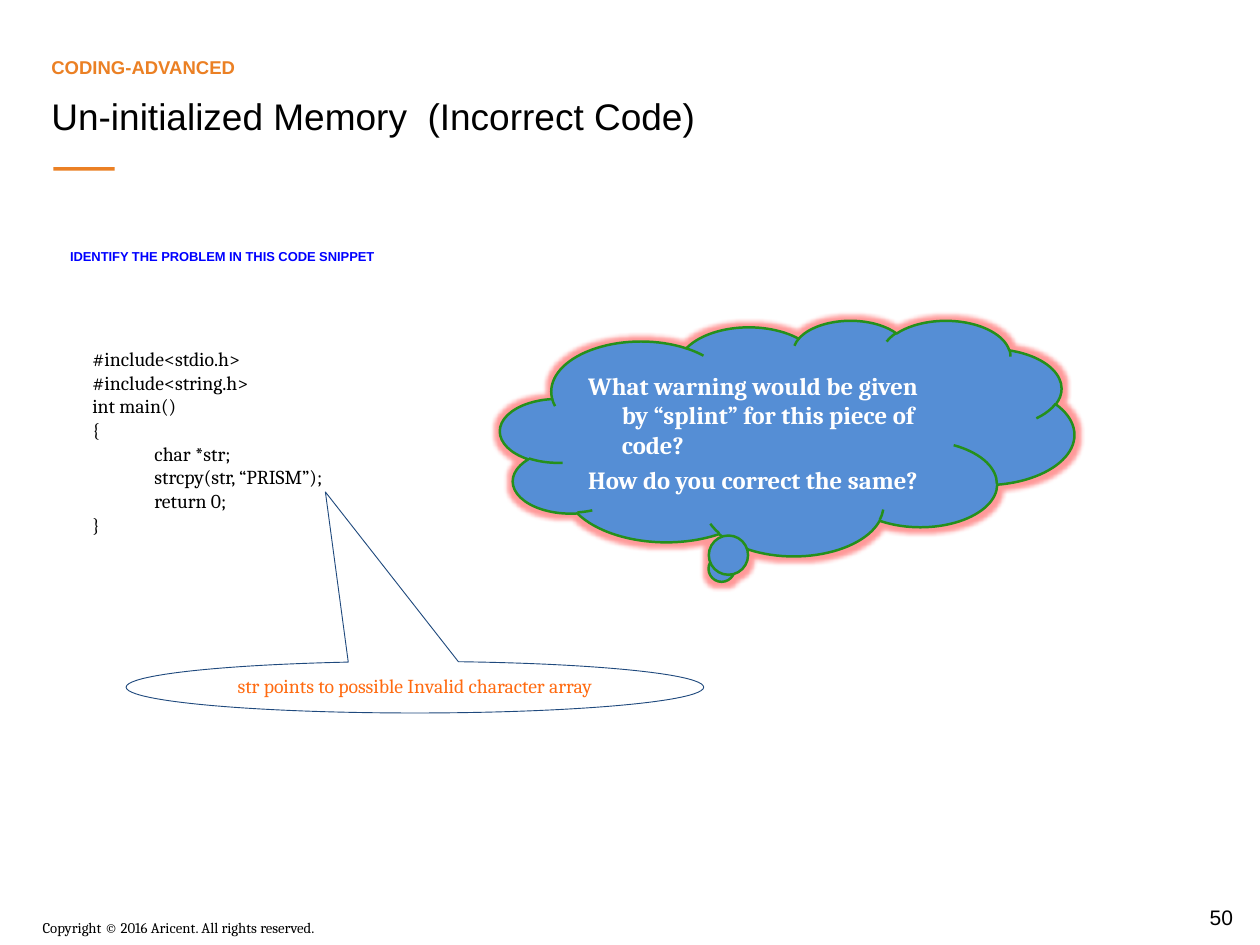
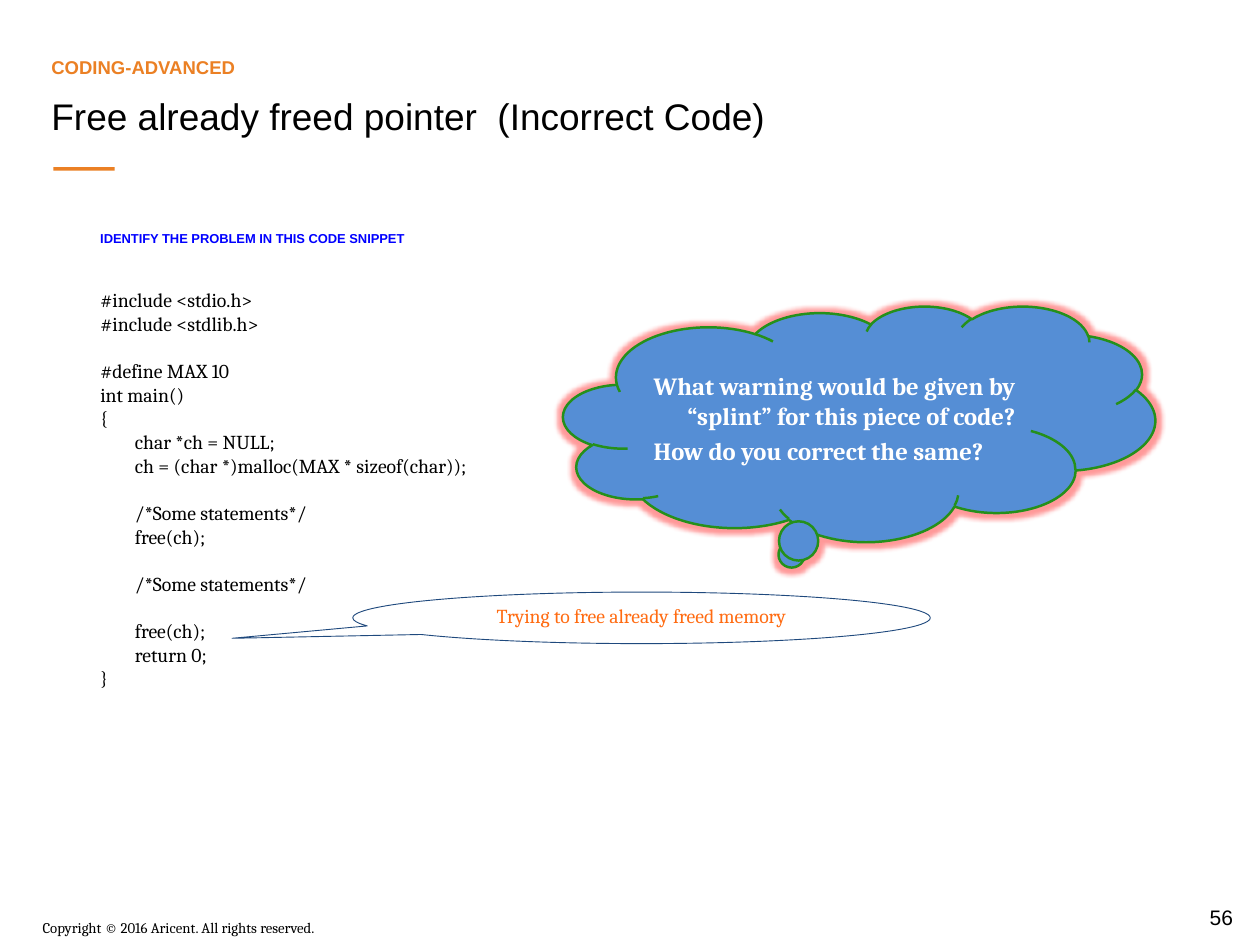
from dataclasses import dataclass

from lxml.etree import SubElement
from pptx import Presentation
from pptx.dml.color import RGBColor
from pptx.enum.shapes import MSO_SHAPE as Preset
from pptx.enum.text import MSO_ANCHOR as Anchor, PP_ALIGN as Align
from pptx.oxml.ns import qn
from pptx.util import Inches, Pt

# Shared colours and text styles
ORANGE, BLACK, WHITE = "EB8024", "000000", "FFFFFF"
BLUE, NAVY, AMBER = "0000FF", "1F497D", "FF6B11"
CLOUD_FILL, CLOUD_LINE, GLOW = "558ED5", "25901B", "FF0000"
STYLES = {
    "section": {"name": "Arial", "size": Pt(15), "bold": True, "color": ORANGE},
    "title": {"name": "Arial", "size": Pt(30), "color": BLACK},
    "task": {"name": "Arial", "size": Pt(10.5), "bold": True, "color": BLUE},
    "code": {"name": "Cambria", "size": Pt(16), "color": BLACK},
    "remark": {"name": "Cambria", "size": Pt(16), "color": AMBER},
    "question": {"name": "Cambria", "size": Pt(20), "bold": True, "color": WHITE},
    "copyright": {"name": "Cambria", "size": Pt(12), "color": BLACK},
    "number": {"name": "Arial", "size": Pt(17), "color": BLACK},
}
CODE_LINE = Pt(19)
CODE_TAB = Inches(0.7)
HANGING = Inches(0.38)
QUESTIONS = [
    "What warning would be given by “splint” for this piece of code?",
    "How do you correct the same?",
]


@dataclass
class Area:
    left: float
    top: float
    width: float
    height: float

    def lengths(self) -> list:
        return [Inches(v) for v in (self.left, self.top, self.width, self.height)]


@dataclass
class Exercise:
    number: int
    title: str
    task_area: Area
    code_area: Area
    code: str
    remark: str
    remark_area: Area
    remark_tip: tuple[float, float]
    cloud_area: Area


EXERCISES = [
    Exercise(
        50, "Un-initialized Memory  (Incorrect Code)",
        Area(0.69, 2.43, 8.61, 0.59), Area(0.94, 3.85, 7.92, 2.64),
        """#include<stdio.h>
#include<string.h>
int main()
{
\tchar *str;
\tstrcpy(str, “PRISM”);
\treturn 0;
}""",
        "str points to possible Invalid character array",
        Area(1.42, 7.44, 6.5, 0.58), (-0.155, -3.788),
        Area(5.63, 3.6, 6.46, 2.65),
    ),
    Exercise(
        56, "Free already freed pointer  (Incorrect Code)",
        Area(1.03, 2.23, 9.07, 0.59), Area(1.03, 3.19, 5.08, 4.65),
        """#include <stdio.h>
#include <stdlib.h>

#define MAX 10
int main()
{
        char *ch = NULL;
        ch = (char *)malloc(MAX * sizeof(char));

        /*Some statements*/
        free(ch);

        /*Some statements*/

        free(ch);
        return 0;
}""",
        "Trying to free already freed memory",
        Area(3.97, 6.66, 6.5, 0.58), (-0.709, 0.397),
        Area(6.34, 3.44, 6.66, 2.65),
    ),
]


def rgb(colour: str) -> RGBColor:
    return RGBColor.from_string(colour)


def write(para, text: str, style: str) -> None:
    span = para.add_run()
    span.text = text
    for name, value in STYLES[style].items():
        if name == "color":
            span.font.color.rgb = rgb(value)
        else:
            setattr(span.font, name, value)


def add_text(page, area: Area, text: str, style: str,
             anchor=Anchor.TOP, align=Align.LEFT) -> None:
    frame = page.shapes.add_textbox(*area.lengths()).text_frame
    frame.word_wrap = True
    frame.vertical_anchor = anchor
    frame.paragraphs[0].alignment = align
    write(frame.paragraphs[0], text, style)


def add_code(page, area: Area, code: str) -> None:
    frame = page.shapes.add_textbox(*area.lengths()).text_frame
    frame.word_wrap = True
    para, gap = frame.paragraphs[0], 0
    for index, line in enumerate(code.split("\n")):
        if not line:
            gap += CODE_LINE
            continue
        if index:
            para = frame.add_paragraph()
            para.space_before = Pt(gap / Pt(1))
        if line.startswith("\t"):
            tabs = SubElement(para._p.get_or_add_pPr(), qn("a:tabLst"))
            SubElement(tabs, qn("a:tab"), pos=str(int(CODE_TAB)), algn="l")
        write(para, line, "code")
        gap = 0


def add_shape(page, preset, area: Area, fill: str | None = None,
              line: str | None = None, weight: float = 0):
    shape = page.shapes.add_shape(preset, *area.lengths())
    shape.shadow.inherit = False
    if fill:
        shape.fill.solid()
        shape.fill.fore_color.rgb = rgb(fill)
    else:
        shape.fill.background()
    if line:
        shape.line.color.rgb = rgb(line)
        shape.line.width = Pt(weight)
    else:
        shape.line.fill.background()
    return shape


def add_callout(page, preset, area: Area, tip: tuple[float, float],
                lines: list[str], style: str, anchor, align, **look):
    shape = add_shape(page, preset, area, **look)
    for index, offset in enumerate(tip):
        shape.adjustments[index] = offset
    frame = shape.text_frame
    frame.word_wrap = True
    frame.vertical_anchor = anchor
    for index, text in enumerate(lines):
        para = frame.add_paragraph() if index else frame.paragraphs[0]
        para.alignment = align
        if index:
            para.space_before = Pt(4)
        properties = para._p.get_or_add_pPr()
        properties.set("marL", str(int(HANGING)))
        properties.set("indent", str(-int(HANGING)))
        write(para, text, style)
    return shape


def add_glow(shape, colour: str, radius: int, opacity: int) -> None:
    effects = shape._element.spPr.find(qn("a:effectLst"))
    glow = SubElement(effects, qn("a:glow"), rad=str(int(radius)))
    tint = SubElement(glow, qn("a:srgbClr"), val=colour)
    SubElement(tint, qn("a:alpha"), val=str(opacity * 1000))


def add_frame(page, number: int, title: str) -> None:
    # Page number, accent bar, copyright and headings
    add_text(page, Area(13.31, 10.12, 0.87, 0.39), str(number), "number",
             Anchor.MIDDLE, Align.CENTER)
    add_shape(page, Preset.RECTANGLE, Area(0.6, 1.88, 0.69, 0.04), ORANGE)
    add_text(page, Area(0.38, 10.28, 7.09, 0.3),
             "Copyright © 2016 Aricent. All rights reserved.", "copyright")
    add_text(page, Area(0.48, 0.31, 11.13, 0.62), "CODING-ADVANCED", "section",
             Anchor.BOTTOM)
    add_text(page, Area(0.48, 1, 11.13, 0.85), title, "title")


def add_exercise(deck, exercise: Exercise) -> None:
    page = deck.slides.add_slide(deck.slide_layouts[6])
    add_frame(page, exercise.number, exercise.title)

    # Task and code
    add_text(page, exercise.task_area,
             "IDENTIFY THE PROBLEM IN THIS CODE SNIPPET", "task", Anchor.BOTTOM)
    add_code(page, exercise.code_area, exercise.code)

    # Remark on the faulty line
    add_callout(page, Preset.OVAL_CALLOUT, exercise.remark_area,
                exercise.remark_tip, [exercise.remark], "remark",
                Anchor.TOP, Align.CENTER, line=NAVY, weight=0.75)

    # Questions in the cloud
    cloud = add_callout(page, Preset.CLOUD_CALLOUT, exercise.cloud_area,
                        (-0.116, 0.564), QUESTIONS, "question",
                        Anchor.MIDDLE, Align.LEFT,
                        fill=CLOUD_FILL, line=CLOUD_LINE, weight=2)
    add_glow(cloud, GLOW, Pt(8), 40)


def main() -> None:
    deck = Presentation()
    deck.slide_width, deck.slide_height = Inches(14.18), Inches(10.63)
    for exercise in EXERCISES:
        add_exercise(deck, exercise)
    deck.save("out.pptx")


if __name__ == "__main__":
    main()
